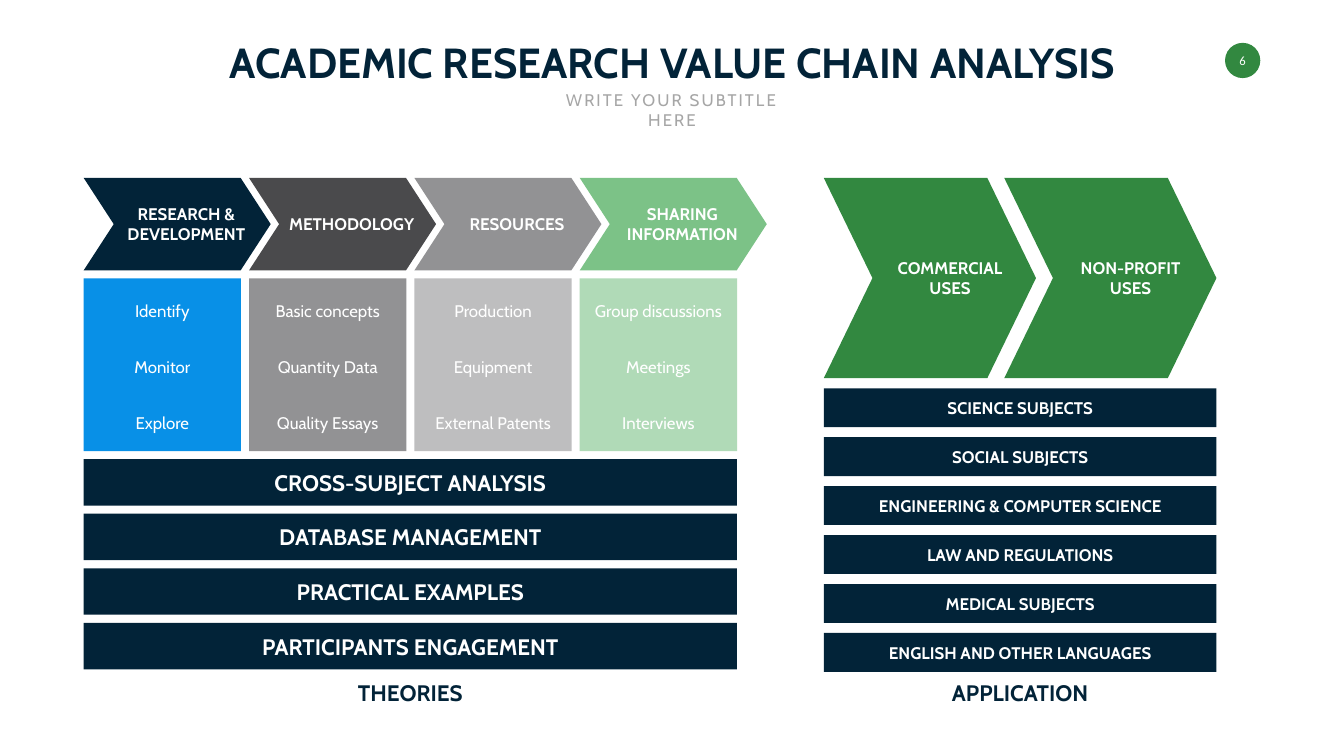
from dataclasses import dataclass

from pptx import Presentation
from pptx import util as u
from pptx.dml.color import RGBColor
from pptx.enum import shapes, text

COLS, ROWS = 26.66, 15
CELL = u.Inches(1)


@dataclass(frozen=True)
class Theme:
    font: str = "Cabin"
    number_font: str = "Calibri"
    navy: str = "022338"
    green: str = "328840"
    white: str = "FFFFFF"
    muted: str = "A6A6A6"
    title: int = 60
    large: int = 32
    body: int = 24
    small: int = 18


T = Theme()

STAGES = [
    ("RESEARCH & DEVELOPMENT", T.navy, "0890E7", ["Identify", "Monitor", "Explore"]),
    ("METHODOLOGY", "4A4A4C", "929294", ["Basic concepts", "Quantity Data", "Quality Essays"]),
    ("RESOURCES", "929294", "BEBEBF", ["Production", "Equipment", "External Patents"]),
    ("SHARING INFORMATION", "7CC287", "B0DAB7", ["Group discussions", "Meetings", "Interviews"]),
]
THEORIES = ["CROSS-SUBJECT ANALYSIS", "DATABASE MANAGEMENT",
            "PRACTICAL EXAMPLES", "PARTICIPANTS ENGAGEMENT"]
USES = [("COMMERCIAL\nUSES", T.green), ("NON-PROFIT\nUSES", T.green)]
SUBJECTS = ["SCIENCE SUBJECTS", "SOCIAL SUBJECTS", "ENGINEERING & COMPUTER SCIENCE",
            "LAW AND REGULATIONS", "MEDICAL SUBJECTS", "ENGLISH AND OTHER LANGUAGES"]


def emu(box):
    return [int(n * CELL) for n in box]


def tracks(start, size, weights, gap):
    unit = (size - gap * (len(weights) - 1)) / sum(weights)
    spans = []
    for weight in weights:
        spans.append((start, weight * unit))
        start += weight * unit + gap
    return spans


def columns(box, n, gap):
    x, y, w, h = box
    return [(cx, y, cw, h) for cx, cw in tracks(x, w, [1] * n, gap)]


def rows(box, weights, gap):
    x, y, w, h = box
    return [(x, ry, w, rh) for ry, rh in tracks(y, h, weights, gap)]


def write(sp, words, size, color=T.white, bold=False, font=T.font,
          anchor=text.MSO_ANCHOR.MIDDLE):
    tf = sp.text_frame
    tf.text = words
    tf.word_wrap = True
    tf.auto_size = text.MSO_AUTO_SIZE.NONE
    tf.vertical_anchor = anchor
    for p in tf.paragraphs:
        p.alignment = text.PP_ALIGN.CENTER
        p.space_before = u.Pt(0)
        for r in p.runs:
            r.font.name = font
            r.font.size = u.Pt(size)
            r.font.bold = bold
            r.font.color.rgb = RGBColor.from_string(color)
    return tf


def block(s, kind, box, fill):
    sp = s.shapes.add_shape(kind, *emu(box))
    sp.shadow.inherit = False
    sp.fill.solid()
    sp.fill.fore_color.rgb = RGBColor.from_string(fill)
    sp.line.fill.background()
    return sp


def label(s, box, words, size, color=T.white):
    write(s.shapes.add_textbox(*emu(box)), words, size, color, bold=True)


def header(s, box):
    title, subtitle = s.placeholders
    x, y, w, h = box
    title.left, title.top, title.width, title.height = emu(box)
    write(title, "ACADEMIC RESEARCH VALUE CHAIN ANALYSIS", T.title, T.navy,
          bold=True, anchor=text.MSO_ANCHOR.TOP)
    sub_w = 5.43
    subtitle.left, subtitle.top, subtitle.width, subtitle.height = emu(
        (x + (w - sub_w) / 2, y + 1.05, sub_w, 0.91))
    tf = write(subtitle, "WRITE YOUR SUBTITLE HERE", T.body, T.muted,
               anchor=text.MSO_ANCHOR.TOP)
    for r in tf.paragraphs[0].runs:
        r.font._element.set("spc", "300")


def page_number(s, box):
    sp = block(s, shapes.MSO_SHAPE.OVAL, box, T.green)
    tf = write(sp, "6", T.small, font=T.number_font)
    tf.margin_left = tf.margin_right = 0


def chevrons(s, box, steps, overlap, notch, label_w, shift):
    for (x, y, w, h), (words, fill) in zip(columns(box, len(steps), -overlap), steps):
        sp = block(s, shapes.MSO_SHAPE.CHEVRON, (x, y, w, h), fill)
        sp.adjustments[0] = notch
        label(s, (x + (w - label_w) / 2 + shift, y, label_w, h), words, T.body)


def cards(s, box, gap):
    for cell, (_, _, fill, items) in zip(columns(box, len(STAGES), gap), STAGES):
        sp = block(s, shapes.MSO_SHAPE.RECTANGLE, cell, fill)
        tf = write(sp, "\n".join(items), T.body)
        for i, p in enumerate(tf.paragraphs):
            p.line_spacing = u.Pt(35)
            p.space_before = u.Pt(45 if i else 0)


def bars(s, boxes, names, size):
    for box, name in zip(boxes, names):
        sp = block(s, shapes.MSO_SHAPE.RECTANGLE, box, T.navy)
        write(sp, name, size, bold=True)


def caption(s, box, words):
    x, _, w, _ = box
    label(s, (x, 13.42, w, 0.64), words, T.large, T.navy)


def theories(s, box):
    top, middle, *rest = rows(box, [1.83, 3.42] + [0.92] * len(THEORIES), 0.16)
    x, y, w, h = top
    steps = [(name, fill) for name, fill, _, _ in STAGES]
    chevrons(s, (x, y, w + 0.59, h), steps, 0.43, 0.325, 2.77, 0.18)
    cards(s, middle, 0.16)
    bars(s, rest, THEORIES, T.large)
    caption(s, box, "THEORIES")


def application(s, box):
    top, *rest = rows(box, [3.97] + [0.77] * len(SUBJECTS), 0.2)
    chevrons(s, top, USES, 0.63, 0.243, 2.5, 0.4)
    bars(s, rest, SUBJECTS, T.body)
    caption(s, box, "APPLICATION")


def main():
    prs = Presentation()
    prs.slide_width, prs.slide_height = emu((COLS, ROWS))
    s = prs.slides.add_slide(prs.slide_layouts[0])
    header(s, (3.67, 0.67, 19.32, 1.11))
    page_number(s, (24.3, 0.85, 0.7, 0.7))
    theories(s, (1.66, 3.53, 12.96, 9.75))
    application(s, (16.34, 3.53, 7.79, 9.8))
    prs.save("out.pptx")


if __name__ == "__main__":
    main()
